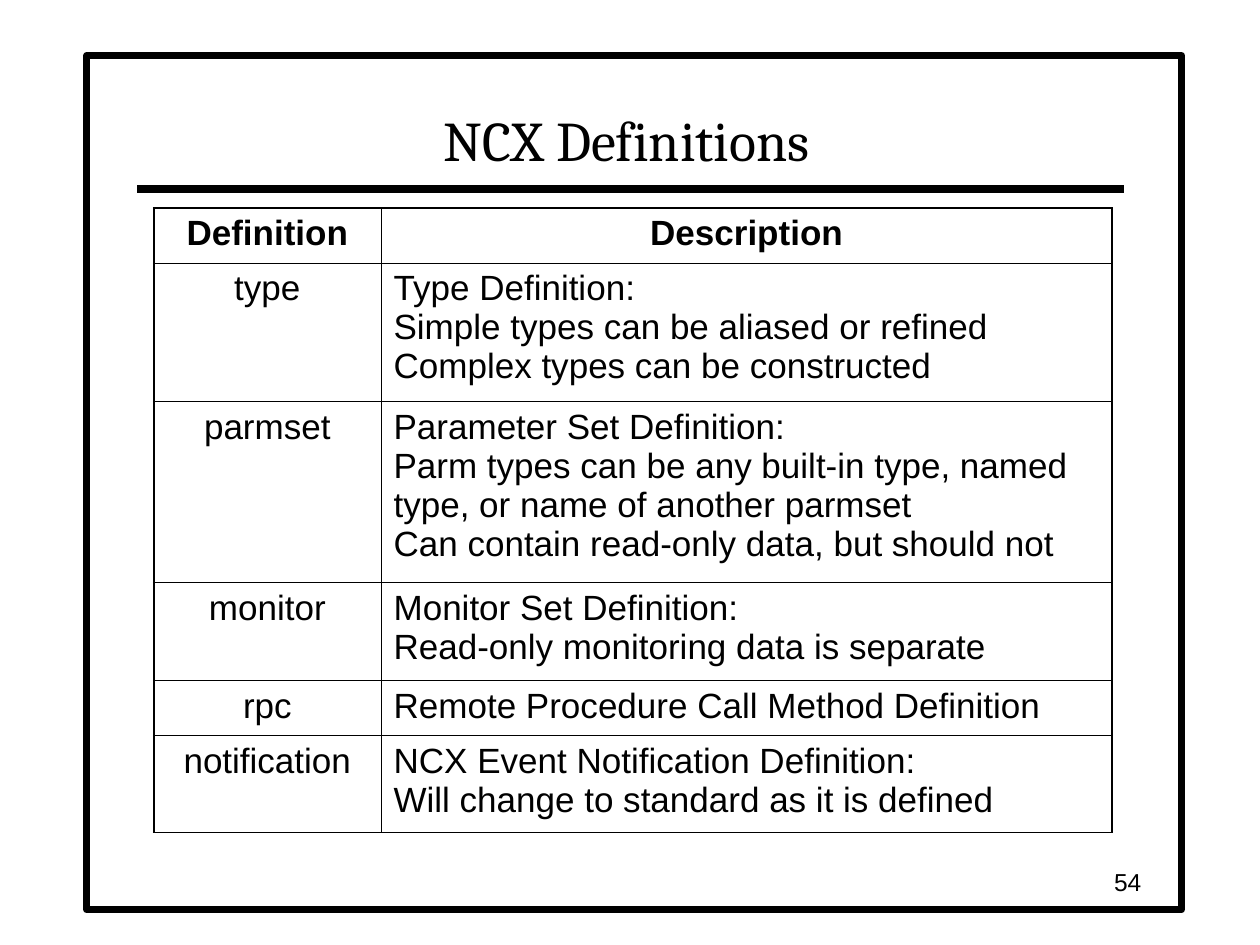
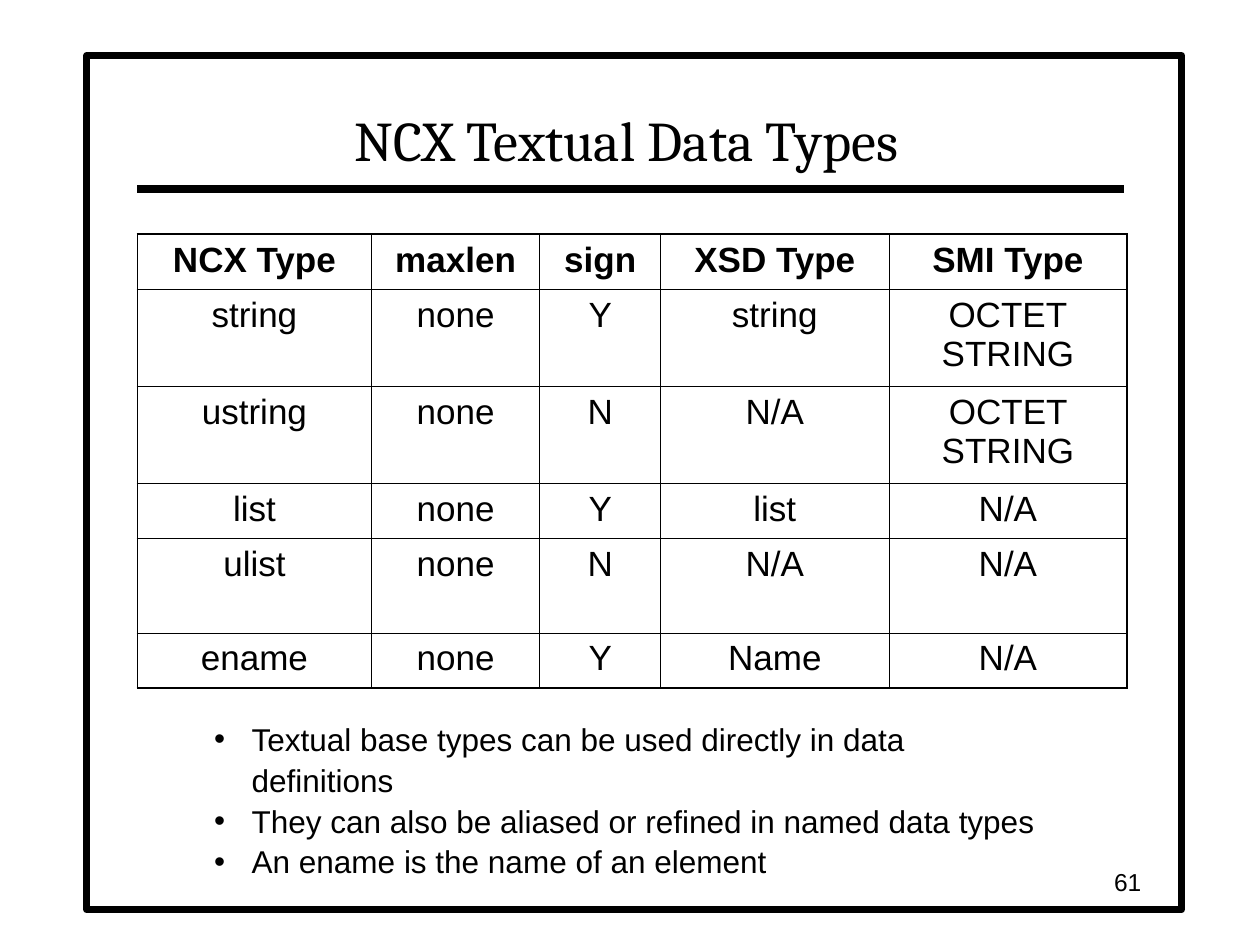
from lxml.etree import SubElement
from pptx import Presentation
from pptx.dml.color import RGBColor as RGB
from pptx.enum.shapes import MSO_CONNECTOR as LINE, MSO_SHAPE as SHAPE
from pptx.enum.text import MSO_ANCHOR as ANCHOR, MSO_AUTO_SIZE as FIT, PP_ALIGN as ALIGN
from pptx.oxml.ns import qn
from pptx.util import Cm, Pt

COLORS = {"ink": "000000", "paper": "FFFFFF"}
HEAD, BODY = "Cambria", "Arial"
THICK, THIN = 1.08, 0.45  # table borders, points

# Lengths are centimetres; boxes are left, top, width, height.
FRAME = (1.75, 1.12, 22.07, 17.22)
RULE = (2.77, 3.81, 22.66, 3.81)
TITLE = (2.74, 1.27, 19.79, 2.34)
NUMBER = (17.98, 17.35, 5.28, 0.84)
NOTES = (4.06, 14.33, 17.17, 3.2)
HANG = 0.76

SLIDES = [
    {
        "title": "NCX Definitions",
        "number": "54",
        "at": (3.1, 4.19),
        "cols": (4.58, 14.74),
        "heights": (1.11, 2.8, 3.65, 1.96, 1.11, 1.96),
        "left": {1},
        "rows": [
            ("Definition", "Description"),
            ("type", "Type Definition:\nSimple types can be aliased or refined\n"
                     "Complex types can be constructed"),
            ("parmset", "Parameter Set Definition:\n"
                        "Parm types can be any built-in type, named type, "
                        "or name of another parmset\n"
                        "Can contain read-only data, but should not"),
            ("monitor", "Monitor Set Definition:\n"
                        "Read-only monitoring data is separate"),
            ("rpc", "Remote Procedure Call Method Definition"),
            ("notification", "NCX Event Notification Definition:\n"
                             "Will change to standard as it is defined"),
        ],
        "notes": [],
    },
    {
        "title": "NCX Textual Data Types",
        "number": "61",
        "at": (2.77, 4.72),
        "cols": (4.72, 3.39, 2.44, 4.6, 4.8),
        "heights": (1.11, 1.96, 1.96, 1.11, 1.9, 1.11),
        "left": set(),
        "rows": [
            ("NCX Type", "maxlen", "sign", "XSD Type", "SMI Type"),
            ("string", "none", "Y", "string", "OCTET\nSTRING"),
            ("ustring", "none", "N", "N/A", "OCTET STRING"),
            ("list", "none", "Y", "list", "N/A"),
            ("ulist", "none", "N", "N/A", "N/A"),
            ("ename", "none", "Y", "Name", "N/A"),
        ],
        "notes": [
            "Textual base types can be used directly in data definitions",
            "They can also be aliased or refined in named data types",
            "An ename is the name of an element",
        ],
    },
]


def color(name):
    return RGB.from_string(COLORS[name])


def place(shape, box):
    shape.left, shape.top, shape.width, shape.height = map(Cm, box)


def write(frame, texts, size=20, font=BODY, bold=False, align=ALIGN.LEFT,
          anchor=None, hang=0, pitch=None):
    """Fill a text frame, one paragraph for each text; \\n breaks a line."""
    frame.word_wrap = True
    if anchor is not None:
        frame.vertical_anchor = anchor
    for i, text in enumerate(texts):
        para = frame.add_paragraph() if i else frame.paragraphs[0]
        para.text = text
        para.alignment = align
        para.space_before = Pt(0)
        if pitch:
            para.line_spacing = pitch
        if hang:
            props = para._p.get_or_add_pPr()
            props.set("marL", str(Cm(hang)))
            props.set("indent", str(-Cm(hang)))
        for run in para.runs:
            run.font.name, run.font.size, run.font.bold = font, Pt(size), bold
            run.font.color.rgb = color("ink")


def draw_base(slide):
    """Put the frame and the title rule behind everything else."""
    frame = slide.shapes.add_shape(SHAPE.RECTANGLE, *map(Cm, FRAME))
    frame.shadow.inherit = False
    frame.fill.solid()
    frame.fill.fore_color.rgb = color("paper")
    rule = slide.shapes.add_connector(LINE.STRAIGHT, *map(Cm, RULE))
    SubElement(rule._element.spPr, qn("a:effectLst"))
    for depth, (shape, width) in enumerate(((frame, 4), (rule, 4.5))):
        shape.line.color.rgb = color("ink")
        shape.line.width = Pt(width)
        slide.shapes._spTree.insert(2 + depth, shape._element)


def set_edges(cell, edges):
    props = cell._tc.get_or_add_tcPr()
    for side, width in edges.items():
        line = SubElement(props, qn("a:ln" + side), w=str(Pt(width)))
        fill = SubElement(line, qn("a:solidFill"))
        SubElement(fill, qn("a:srgbClr"), val=COLORS["ink"])


def draw_table(slide, data):
    rows, cols, heights = data["rows"], data["cols"], data["heights"]
    box = (*data["at"], sum(cols), sum(heights))
    table = slide.shapes.add_table(len(rows), len(cols), *map(Cm, box)).table
    table.first_row = table.horz_banding = False
    for col, width in zip(table.columns, cols):
        col.width = Cm(width)
    for row, height in zip(table.rows, heights):
        row.height = Cm(height)
    for r, row in enumerate(rows):
        for c, text in enumerate(row):
            cell = table.cell(r, c)
            outer = {"L": c == 0, "R": c == len(cols) - 1,
                     "T": r == 0, "B": r == len(rows) - 1}
            set_edges(cell, {side: THICK if out else THIN
                             for side, out in outer.items()})
            cell.fill.background()
            left = r > 0 and c in data["left"]
            write(cell.text_frame, [text], bold=r == 0,
                  align=ALIGN.LEFT if left else ALIGN.CENTER)


def build(deck, data):
    notes = data["notes"]
    slide = deck.slides.add_slide(deck.slide_layouts[1 if notes else 5])
    draw_base(slide)
    title = slide.shapes.title
    place(title, TITLE)
    title.text_frame.auto_size = FIT.NONE
    write(title.text_frame, [data["title"]], size=32, font=HEAD,
          align=ALIGN.CENTER, anchor=ANCHOR.BOTTOM)
    draw_table(slide, data)
    if notes:
        body = slide.placeholders[1]
        place(body, NOTES)
        body.text_frame.auto_size = FIT.NONE
        write(body.text_frame, notes, size=18, anchor=ANCHOR.TOP,
              hang=HANG, pitch=1.08)
    number = slide.shapes.add_textbox(*map(Cm, NUMBER))
    write(number.text_frame, [data["number"]], size=14,
          align=ALIGN.RIGHT, anchor=ANCHOR.MIDDLE)


def main():
    deck = Presentation()
    deck.slide_width, deck.slide_height = Cm(25.4), Cm(19.05)
    for data in SLIDES:
        build(deck, data)
    deck.save("out.pptx")


if __name__ == "__main__":
    main()
